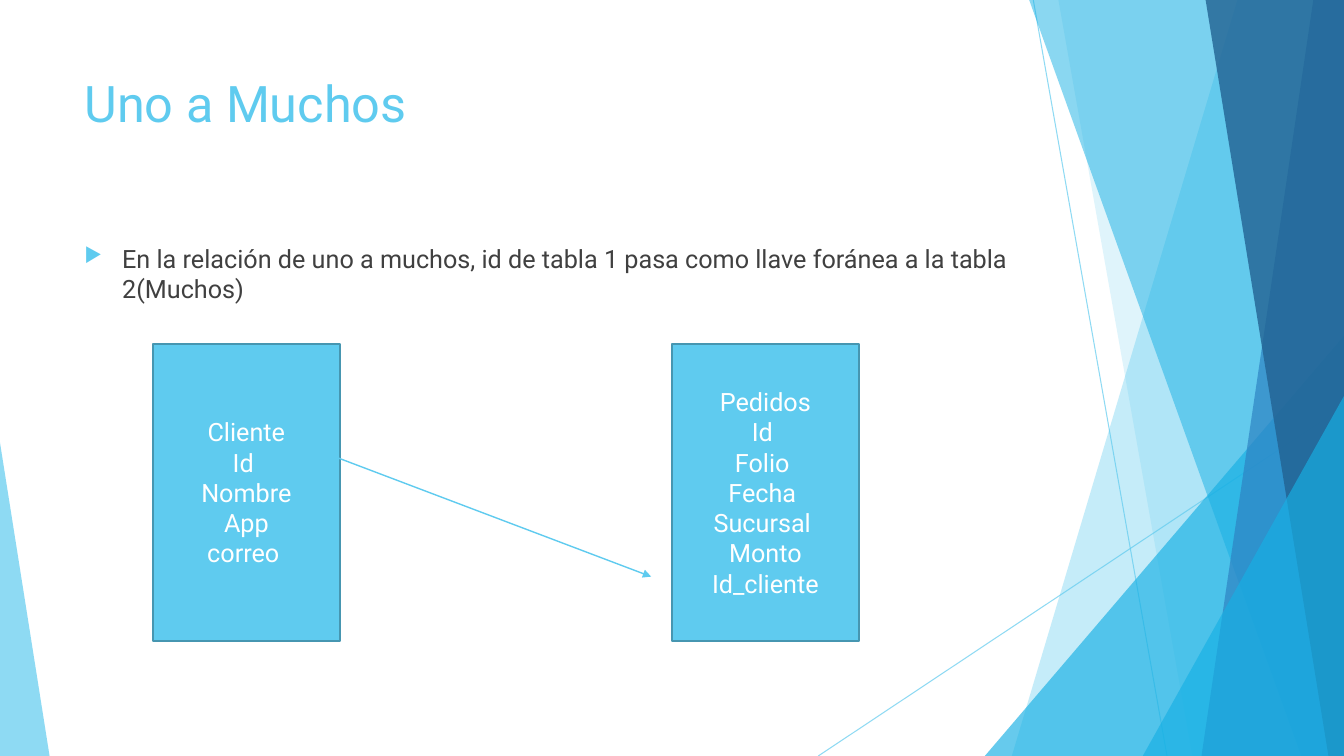
from lxml.etree import SubElement as Sub
from pptx import Presentation
from pptx.dml.color import RGBColor as RGB
from pptx.enum.shapes import MSO_CONNECTOR as Link, MSO_SHAPE as Kind
from pptx.enum.text import MSO_ANCHOR as Anchor, PP_ALIGN as Align
from pptx.oxml.ns import qn
from pptx.util import Cm, Pt

HUES = {
    "sky": "5FCBEF", "cyan": "17B0E4", "blue": "2E83C3", "navy": "226292",
    "edge": "4696B1", "ink": "404040", "white": "FFFFFF",
}
WIDE, HIGH, TOP = 33.87, 19.05, -0.02

deck = Presentation()
deck.slide_width, deck.slide_height = Cm(WIDE), Cm(HIGH)
slide = deck.slides.add_slide(deck.slide_layouts[6])
shapes = slide.shapes


def paint(fill, hue, alpha=100):
    fill.solid()
    fill.fore_color.rgb = RGB.from_string(HUES[hue])
    if alpha < 100:
        tint = fill._xPr.find(qn("a:solidFill"))[0]
        Sub(tint, qn("a:alpha"), val=str(alpha * 1000))


def write(shape, lines, size, hue, align, anchor):
    frame = shape.text_frame
    frame.word_wrap = True
    frame.vertical_anchor = anchor
    frame.text = "\n".join(lines)
    for para in frame.paragraphs:
        para.alignment = align
        for run in para.runs:
            run.font.name, run.font.size = "Roboto", Pt(size)
            run.font.color.rgb = RGB.from_string(HUES[hue])


# Lines: two thin rays behind the facets, and the arrow added at the end
rays = [(26.04, 0, 29.41, HIGH, 0.75, 70), (WIDE, 10.24, 20.62, HIGH, 0.75, 70)]
arrow = (8.1, 11.38, 16.41, 14.53, 1, 100)

# Facets: bands hold top x and foot x, wedges hold left and top
facets = [
    ("band", 31.19, 25.5, "sky", 36),
    ("band", 26.67, 30.05, "sky", 20),
    ("wedge", 24.82, 8.46, "cyan", 66),
    ("band", 25.93, 32.79, "cyan", 50),
    ("band", 33.1, 30.28, "blue", 70),
    ("band", 30.38, 33.48, "navy", 80),
    ("wedge", 28.8, 9.98, "cyan", 66),
    ("wedge", 0, 11.15, "sky", 70),
]

links = []
for x1, y1, x2, y2, width, alpha in rays + [arrow]:
    link = shapes.add_connector(Link.STRAIGHT, Cm(x1), Cm(y1), Cm(x2), Cm(y2))
    link.line.width = Pt(width)
    paint(link.line.fill, "sky", alpha)
    Sub(link._element.spPr, qn("a:effectLst"))
    links.append(link)
Sub(links[-1].line._ln, qn("a:tailEnd"), type="triangle")

for form, a, b, hue, alpha in facets:
    if form == "band":
        pen = shapes.build_freeform(Cm(a), Cm(TOP))
        pen.add_line_segments(
            [(Cm(x), Cm(y)) for x, y in ((WIDE, TOP), (WIDE, HIGH), (b, HIGH))])
        facet = pen.convert_to_shape()
    else:
        span = WIDE - a if a else 1.25
        facet = shapes.add_shape(
            Kind.ISOSCELES_TRIANGLE, Cm(a), Cm(b), Cm(span), Cm(HIGH - b))
        facet.adjustments[0] = 1 if a else 0
    facet.shadow.inherit = False
    facet.line.fill.background()
    paint(facet.fill, hue, alpha)

# Title and bullet
title = shapes.add_textbox(Cm(1.88), Cm(1.7), Cm(23.88), Cm(3.66))
write(title, ["Uno a Muchos"], 36, "sky", Align.LEFT, Anchor.TOP)

body = shapes.add_textbox(Cm(1.88), Cm(6), Cm(23.88), Cm(10.77))
note = ("En la relación de uno a muchos, id de tabla 1 pasa como "
        "llave foránea a la tabla 2(Muchos)")
write(body, [note], 18, "ink", Align.LEFT, Anchor.TOP)
para = body.text_frame.paragraphs[0]
para.space_before = Pt(10)
props = para._p.get_or_add_pPr()
props.set("marL", str(Cm(0.95)))
props.set("indent", str(-Cm(0.95)))
Sub(Sub(props, qn("a:buClr")), qn("a:srgbClr"), val=HUES["sky"])
Sub(props, qn("a:buSzPct"), val="80000")
Sub(props, qn("a:buChar"), char="▶")

# Entity boxes
tables = [
    (3.86, ["Cliente", "Id ", "Nombre", "App", "correo "]),
    (16.94, ["Pedidos", "Id ", "Folio ", "Fecha ", "Sucursal ", "Monto",
             "Id_cliente"]),
]
for left, rows in tables:
    box = shapes.add_shape(Kind.RECTANGLE, Cm(left), Cm(8.66), Cm(4.7), Cm(7.49))
    box.shadow.inherit = False
    paint(box.fill, "sky")
    paint(box.line.fill, "edge")
    box.line.width = Pt(1.5)
    write(box, rows, 18, "white", Align.CENTER, Anchor.MIDDLE)

# The arrow lies over the boxes
shapes._spTree.append(links[-1]._element)

deck.save("out.pptx")
